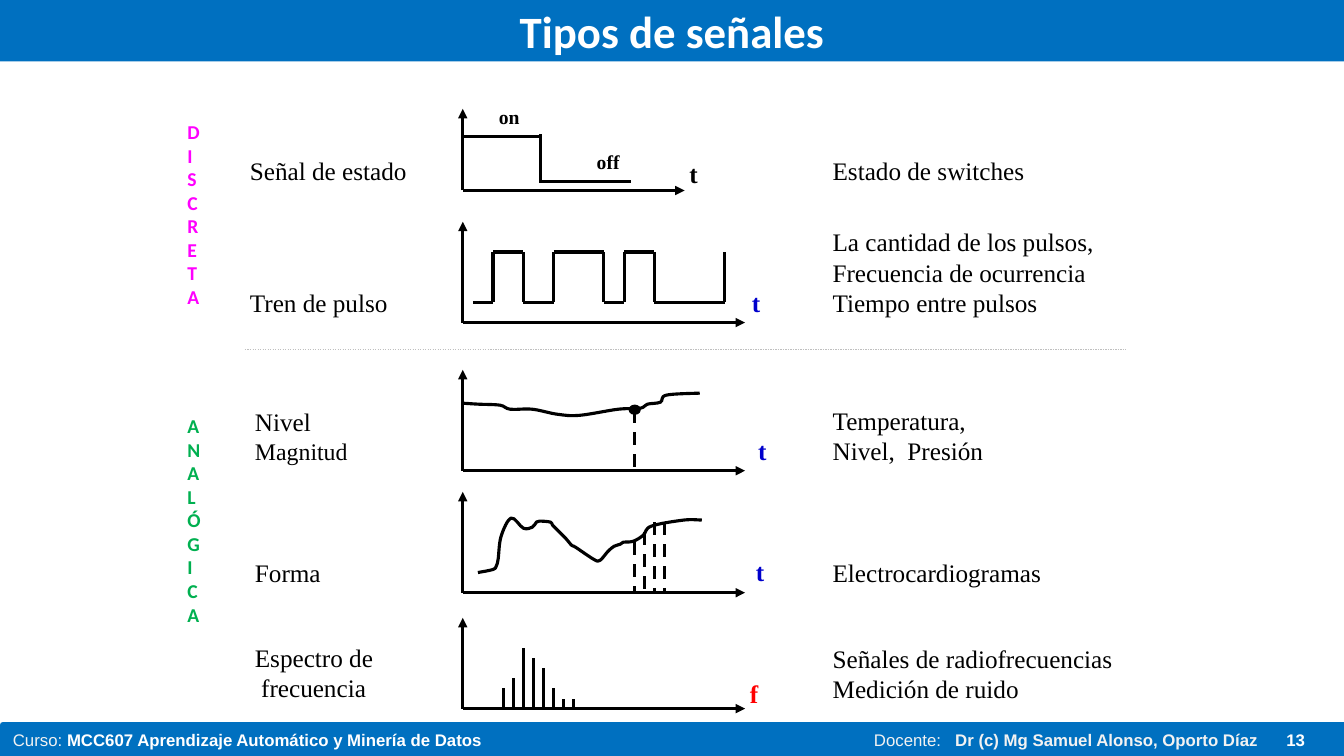
from itertools import pairwise

from pptx import Presentation
from pptx.dml.color import RGBColor
from pptx.enum.dml import MSO_LINE
from pptx.enum.shapes import MSO_CONNECTOR, MSO_SHAPE
from pptx.enum.text import MSO_ANCHOR, MSO_AUTO_SIZE, PP_ALIGN
from pptx.oxml.ns import qn
from pptx.util import Emu, Pt
from lxml import etree

PX = 9144  # 100 px to the inch
STRAIGHT = MSO_CONNECTOR.STRAIGHT
RECTANGLE, OVAL = MSO_SHAPE.RECTANGLE, MSO_SHAPE.OVAL
DASH = MSO_LINE.DASH
MIDDLE, TOP = MSO_ANCHOR.MIDDLE, MSO_ANCHOR.TOP
CENTER, LEFT = PP_ALIGN.CENTER, PP_ALIGN.LEFT
NO_FIT = MSO_AUTO_SIZE.NONE
SERIF, SANS, FOOTER_FONT = "Times New Roman", "Calibri", "Arial"
COLORS = {
    "bar": "0070C0", "white": "FFFFFF", "pale": "F2F2F2", "ink": "000000",
    "time": "0000CC", "frequency": "FF0000", "discrete": "FF00FF",
    "analog": "00B050", "divider": "BFBFBF",
}


def px(*lengths):
    return [Emu(round(length * PX)) for length in lengths]


def color(name):
    return RGBColor.from_string(COLORS[name])


def set_font(font, size, name, ink, bold=False):
    font.size, font.name, font.bold = Pt(size), name, bold
    font.color.rgb = color(ink)


def add_text(page, box, lines, size=18, font=SERIF, ink="ink", bold=False, wrap=True):
    text_box = page.shapes.add_textbox(*px(*box))
    frame = text_box.text_frame
    frame.word_wrap = wrap
    frame.text = lines
    for para in frame.paragraphs:
        set_font(para.font, size, font, ink, bold)
    return text_box


def add_line(page, start, end, ink="ink", width=2.25, dash=None, arrow=False):
    line = page.shapes.add_connector(STRAIGHT, *px(*start, *end))
    line.line.color.rgb = color(ink)
    line.line.width = Pt(width)
    if dash:
        line.line.dash_style = dash
    if arrow:
        etree.SubElement(line.line._get_or_add_ln(), qn("a:tailEnd"), type="triangle")
    etree.SubElement(line._element.spPr, qn("a:effectLst"))


def round_corners(shape):
    """Turn the straight segments of a freeform into smooth cubic curves."""
    knots = [(int(pt.get("x")), int(pt.get("y"))) for pt in shape._element.iter(qn("a:pt"))]
    ends = [knots[0], *knots, knots[-1]]
    segments = list(shape._element.iter(qn("a:lnTo")))
    for segment, a, b, c, d in zip(segments, ends, ends[1:], ends[2:], ends[3:]):
        leave = [q + (r - p) // 6 for p, q, r in zip(a, b, c)]
        arrive = [r - (s - q) // 6 for q, r, s in zip(b, c, d)]
        cubic = etree.Element(qn("a:cubicBezTo"))
        for x, y in (leave, arrive, c):
            etree.SubElement(cubic, qn("a:pt"), x=str(x), y=str(y))
        segment.getparent().replace(segment, cubic)


def add_curve(page, place, points):
    start, *rest = [px(*place(*point)) for point in points]
    builder = page.shapes.build_freeform(*start)
    builder.add_line_segments(rest, close=False)
    curve = builder.convert_to_shape()
    round_corners(curve)
    curve.shadow.inherit = False
    curve.fill.background()
    curve.line.color.rgb = color("ink")
    curve.line.width = Pt(2.25)


def add_axes(page, box, label, label_at, ink="time"):
    """Draw both axes; return a function from plot units (y upwards) to the page."""
    left, top, width, height = box
    bottom = top + height

    def place(x, y):
        return left + x, bottom - y

    add_line(page, place(0, 0), place(0, height), arrow=True)
    add_line(page, place(0, 0), place(width, 0), arrow=True)
    add_text(page, (*place(*label_at), 40, 30), label, ink=ink, bold=True)
    return place


def draw_state(page, box):
    place = add_axes(page, box, "t", (215, 37), "ink")
    for start, end in [((0, 54), (79, 54)), ((77, 56), (77, 7)), ((79, 9), (167, 9))]:
        add_line(page, place(*start), place(*end))
    for word, corner in [("on", (26, 90)), ("off", (123, 45))]:
        add_text(page, (*place(*corner), 44, 27), word, 14, bold=True)


def draw_pulses(page, box):
    place = add_axes(page, box, "t", (277, 40))
    low, high = 20, 70
    corners = [(10, low)]
    for edge in (30, 60, 90, 140, 160, 190, 260):
        level = corners[-1][1]
        corners += [(edge, level), (edge, low + high - level)]
    for start, end in pairwise(corners):
        add_line(page, place(*start), place(*end))


def draw_level(page, box):
    place = add_axes(page, box, "t", (283, 40))
    add_curve(page, place, [
        (0, 67), (16, 66), (37, 65), (47, 61), (69, 61), (94, 56), (116, 55),
        (154, 61), (176, 62), (183, 66), (196, 68), (202, 75), (235, 77)])
    add_line(page, place(170, 60), place(170, 0), dash=DASH)
    dot = page.shapes.add_shape(OVAL, *px(*place(166, 64), 9, 7))
    dot.shadow.inherit = False
    dot.fill.solid()
    dot.fill.fore_color.rgb = dot.line.color.rgb = color("ink")
    dot.line.width = Pt(2.25)


def draw_form(page, box):
    place = add_axes(page, box, "t", (281, 41))
    add_curve(page, place, [
        (15, 20), (30, 23), (33, 26), (35, 33), (38, 56), (48, 74), (60, 64),
        (69, 65), (73, 70), (76, 71), (87, 70), (89, 67), (98, 58), (102, 54),
        (108, 47), (112, 45), (130, 33), (136, 32), (144, 41), (150, 46),
        (156, 48), (159, 50), (169, 51), (179, 57), (187, 66), (219, 72), (237, 72)])
    for index, height in enumerate((50, 60, 70, 70)):
        x = 170 + 10 * index
        add_line(page, place(x, height), place(x, 0), dash=DASH)


def draw_spectrum(page, box):
    place = add_axes(page, box, "f", (275, 35), "frequency")
    for index, height in enumerate((20, 30, 60, 50, 40, 20, 10, 10)):
        x = 40 + 10 * index
        add_line(page, place(x, 0), place(x, height))


def add_title(page, box, words):
    title = page.shapes.title
    title.left, title.top, title.width, title.height = px(*box)
    title.fill.solid()
    title.fill.fore_color.rgb = color("bar")
    frame = title.text_frame
    frame.text = words
    frame.auto_size, frame.vertical_anchor = NO_FIT, MIDDLE
    para = frame.paragraphs[0]
    para.alignment = CENTER
    set_font(para.font, 32, SANS, "white", True)


def add_footer(page, box):
    left, top, width, height = box
    bar = page.shapes.add_shape(RECTANGLE, *px(*box))
    bar.shadow.inherit = False
    bar.fill.solid()
    bar.fill.fore_color.rgb = bar.line.color.rgb = color("bar")
    bar.line.width = Pt(4.5)
    bar.text_frame.vertical_anchor = TOP
    para = bar.text_frame.paragraphs[0]
    para.alignment = LEFT
    # The teacher starts at a tab stop
    tabs = etree.SubElement(para._p.get_or_add_pPr(), qn("a:tabLst"))
    etree.SubElement(tabs, qn("a:tab"), pos=str(854 * PX), algn="l")
    for text, ink, bold in [
        ("Curso: ", "pale", False),
        ("MCC607 Aprendizaje Automático y Minería de Datos\t", "white", True),
        ("Docente:   ", "pale", False),
        ("Dr (c) Mg Samuel Alonso, Oporto Díaz", "pale", True),
    ]:
        span = para.add_run()
        span.text = text
        set_font(span.font, 12, FOOTER_FONT, ink, bold)
    add_text(page, (left + 1263, top, 50, 30), "13", 12, FOOTER_FONT, "white", True, False)


def add_group_name(page, box, word, ink):
    name = add_text(page, box, word, 14, SANS, ink, True, False)
    name.text_frame._txBody.bodyPr.set("vert", "wordArtVert")


# Each row: plot function, plot box, name and its box, use and its box
ROWS = [
    (draw_state, (459, 108, 220, 81), "Señal de estado", (238, 149, 208, 40),
     "Estado de switches", (816, 149, 210, 40)),
    (draw_pulses, (459, 220, 280, 100), "Tren de pulso", (238, 280, 192, 40),
     "La cantidad de los pulsos,\nFrecuencia de ocurrencia\nTiempo entre pulsos",
     (816, 220, 300, 100)),
    (draw_level, (459, 367, 280, 100), "Nivel\nMagnitud", (243, 398, 132, 69),
     "Temperatura,\nNivel,  Presión", (816, 397, 229, 71)),
    (draw_form, (459, 488, 280, 100), "Forma", (243, 548, 158, 40),
     "Electrocardiogramas", (816, 548, 227, 40)),
    (draw_spectrum, (459, 613, 280, 90), "Espectro de\n frecuencia", (243, 632, 160, 71),
     "Señales de radiofrecuencias Medición de ruido", (816, 633, 322, 70)),
]


def main():
    deck = Presentation()
    deck.slide_width, deck.slide_height = px(1333, 750)
    page = deck.slides.add_slide(deck.slide_layouts[5])
    add_footer(page, (3, 719, 1330, 31))
    add_title(page, (0, 0, 1333, 61), "Tipos de señales")
    for draw, plot_box, name, name_box, use, use_box in ROWS:
        draw(page, plot_box)
        name_text = add_text(page, name_box, name)
        if draw is draw_level:
            name_text.text_frame.paragraphs[1].font.size = Pt(17)
        add_text(page, use_box, use)
    # Signal groups and the divider between them
    add_group_name(page, (176, 114, 48, 232), "DISCRETA", "discrete")
    add_group_name(page, (176, 406, 48, 261), "ANALÓGICA", "analog")
    add_line(page, (243, 346), (1117, 346), "divider", 0.25, DASH)
    deck.save("out.pptx")


if __name__ == "__main__":
    main()
